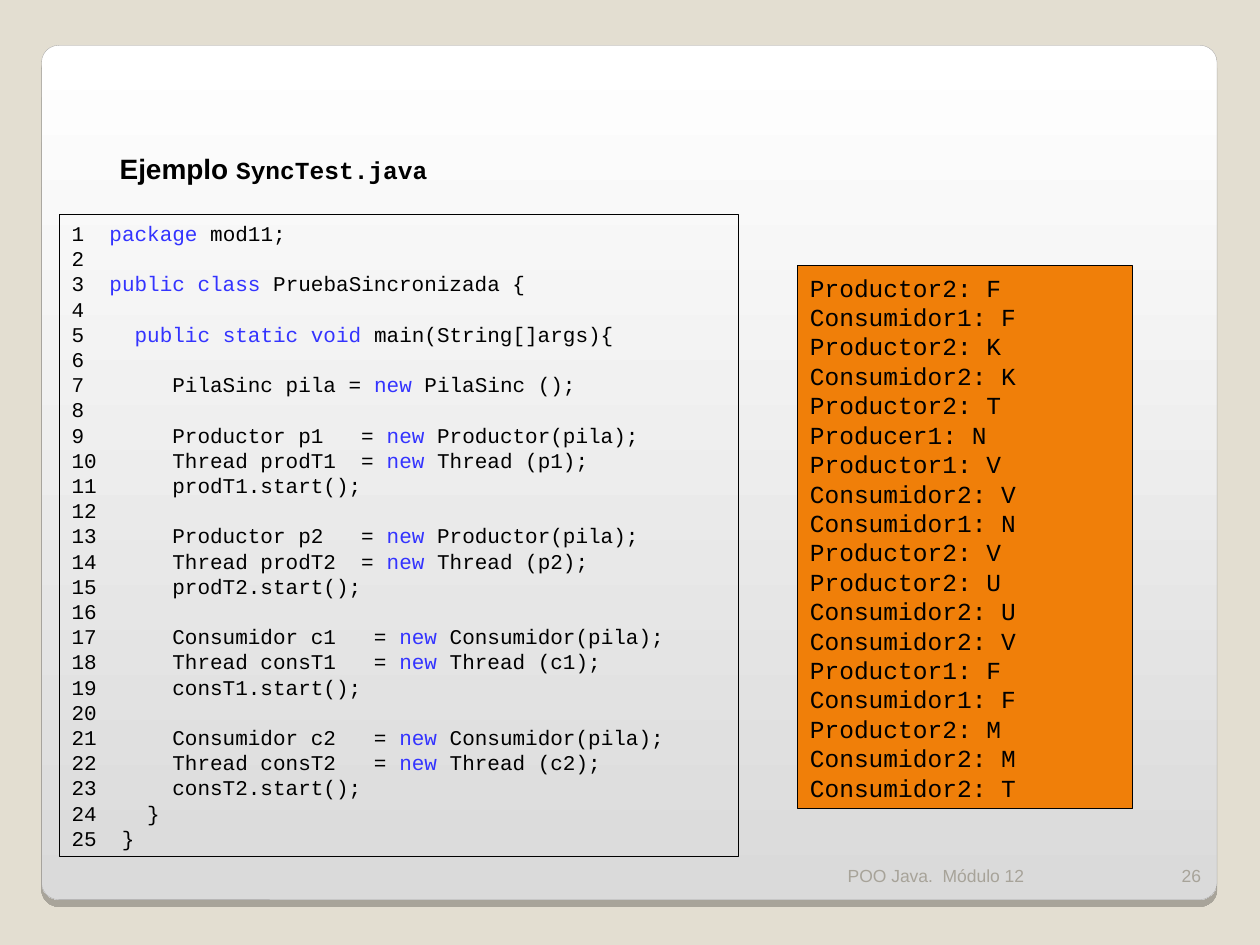
"""Build a slide with a Java synchronisation example and its console output."""
from lxml import etree
from pptx import Presentation
from pptx import util as u
from pptx.dml.color import RGBColor
from pptx.enum import shapes, text

BACKGROUND = RGBColor(0xE3, 0xDE, 0xD1)
WHITE = RGBColor(0xFF, 0xFF, 0xFF)
SILVER = RGBColor(0xDA, 0xDA, 0xDA)
EDGE = RGBColor(0xA4, 0xA3, 0xA3)
MUTED = RGBColor(0xA7, 0xA3, 0x99)
ORANGE = RGBColor(0xF0, 0x7F, 0x09)
BLUE = RGBColor(0x33, 0x33, 0xFF)
BLACK = RGBColor(0, 0, 0)

SOURCE_CODE = """|package| mod11;

|public class| PruebaSincronizada {

  |public static void| main(String[]args){

     PilaSinc pila = |new| PilaSinc ();

     Productor p1   = |new| Productor(pila);
     Thread prodT1  = |new| Thread (p1);
     prodT1.start();

     Productor p2   = |new| Productor(pila);
     Thread prodT2  = |new| Thread (p2);
     prodT2.start();

     Consumidor c1   = |new| Consumidor(pila);
     Thread consT1   = |new| Thread (c1);
     consT1.start();

     Consumidor c2   = |new| Consumidor(pila);
     Thread consT2   = |new| Thread (c2);
     consT2.start();
   }
 }"""

CONSOLE_OUTPUT = """Productor2: F
Consumidor1: F
Productor2: K
Consumidor2: K
Productor2: T
Producer1: N
Productor1: V
Consumidor2: V
Consumidor1: N
Productor2: V
Productor2: U
Consumidor2: U
Consumidor2: V
Productor1: F
Consumidor1: F
Productor2: M
Consumidor2: M
Consumidor2: T"""


def add_run(paragraph, words, size, font, color=BLACK, bold=False):
    run = paragraph.add_run()
    run.text = words
    run.font.size = u.Pt(size)
    run.font.name = font
    run.font.color.rgb = color
    run.font.bold = bold


def add_listing(left, top, width, height, lines, size):
    box = slide.shapes.add_shape(
        shapes.MSO_SHAPE.RECTANGLE,
        u.Inches(left), u.Inches(top), u.Inches(width), u.Inches(height))
    box.shadow.inherit = False
    box.fill.background()
    box.line.color.rgb = BLACK
    box.line.width = u.Pt(0.75)
    frame = box.text_frame
    frame.word_wrap = True
    frame.auto_size = text.MSO_AUTO_SIZE.SHAPE_TO_FIT_TEXT
    frame.vertical_anchor = text.MSO_ANCHOR.MIDDLE
    for index, line in enumerate(lines):
        paragraph = frame.add_paragraph() if index else frame.paragraphs[0]
        paragraph.alignment = text.PP_ALIGN.LEFT
        for part, words in enumerate(line.split("|")):
            if words:
                add_run(paragraph, words, size, "Courier New", BLUE if part % 2 else BLACK)
    return box


deck = Presentation()
deck.slide_width, deck.slide_height = u.Inches(10), u.Inches(7.5)
slide = deck.slides.add_slide(deck.slide_layouts[5])
slide.background.fill.solid()
slide.background.fill.fore_color.rgb = BACKGROUND

panel = slide.shapes.add_shape(
    shapes.MSO_SHAPE.ROUNDED_RECTANGLE,
    u.Inches(0.33), u.Inches(0.36), u.Inches(9.33), u.Inches(6.78))
panel.adjustments[0] = 0.02
panel.fill.gradient()
panel.fill.gradient_angle = 270
for stop, color in zip(panel.fill.gradient_stops, (WHITE, SILVER)):
    stop.color.rgb = color
panel.line.color.rgb = EDGE
panel.line.width = u.Pt(0.17)
panel.shadow.inherit = False
effects = panel._element.spPr.find("{*}effectLst")
effects.append(etree.fromstring(
    '<a:outerShdw xmlns:a="http://schemas.openxmlformats.org/drawingml/2006/main" '
    'blurRad="0" dist="50800" dir="5400000" algn="tl" rotWithShape="0">'
    '<a:srgbClr val="000000"><a:alpha val="25000"/></a:srgbClr></a:outerShdw>'))
slide.shapes._spTree.insert(2, panel._element)

for left, width, words, alignment in (
    (6.63, 2.5, "POO Java.  Módulo 12", text.PP_ALIGN.LEFT),
    (9.13, 0.5, "26", text.PP_ALIGN.RIGHT),
):
    footer = slide.shapes.add_textbox(
        u.Inches(left), u.Inches(6.68), u.Inches(width), u.Inches(0.4)).text_frame
    footer.word_wrap = True
    footer.vertical_anchor = text.MSO_ANCHOR.BOTTOM
    footer.paragraphs[0].alignment = alignment
    add_run(footer.paragraphs[0], words, 10, "Arial", MUTED)

console = add_listing(6.33, 2.11, 2.66, 4.31, CONSOLE_OUTPUT.splitlines(), 14)
console.fill.solid()
console.fill.fore_color.rgb = ORANGE

numbered_code = [
    f"{number:<3}{line}".rstrip()
    for number, line in enumerate(SOURCE_CODE.splitlines(), 1)
]
add_listing(0.47, 1.7, 5.39, 5.1, numbered_code, 12)

title = slide.shapes.title
title.left, title.top = u.Inches(0.43), u.Inches(1.15)
title.width, title.height = u.Inches(4.8), u.Inches(0.37)
title.text_frame.word_wrap = True
title.text_frame.auto_size = text.MSO_AUTO_SIZE.SHAPE_TO_FIT_TEXT
title.text_frame.vertical_anchor = text.MSO_ANCHOR.TOP
heading = title.text_frame.paragraphs[0]
heading.alignment = text.PP_ALIGN.LEFT
heading.space_before = heading.space_after = u.Pt(5)
heading._p.get_or_add_pPr().set("marL", str(u.Inches(0.42)))
add_run(heading, "Ejemplo ", 16, "Arial", bold=True)
add_run(heading, "SyncTest.java", 14, "Courier New", bold=True)

deck.save("out.pptx")
